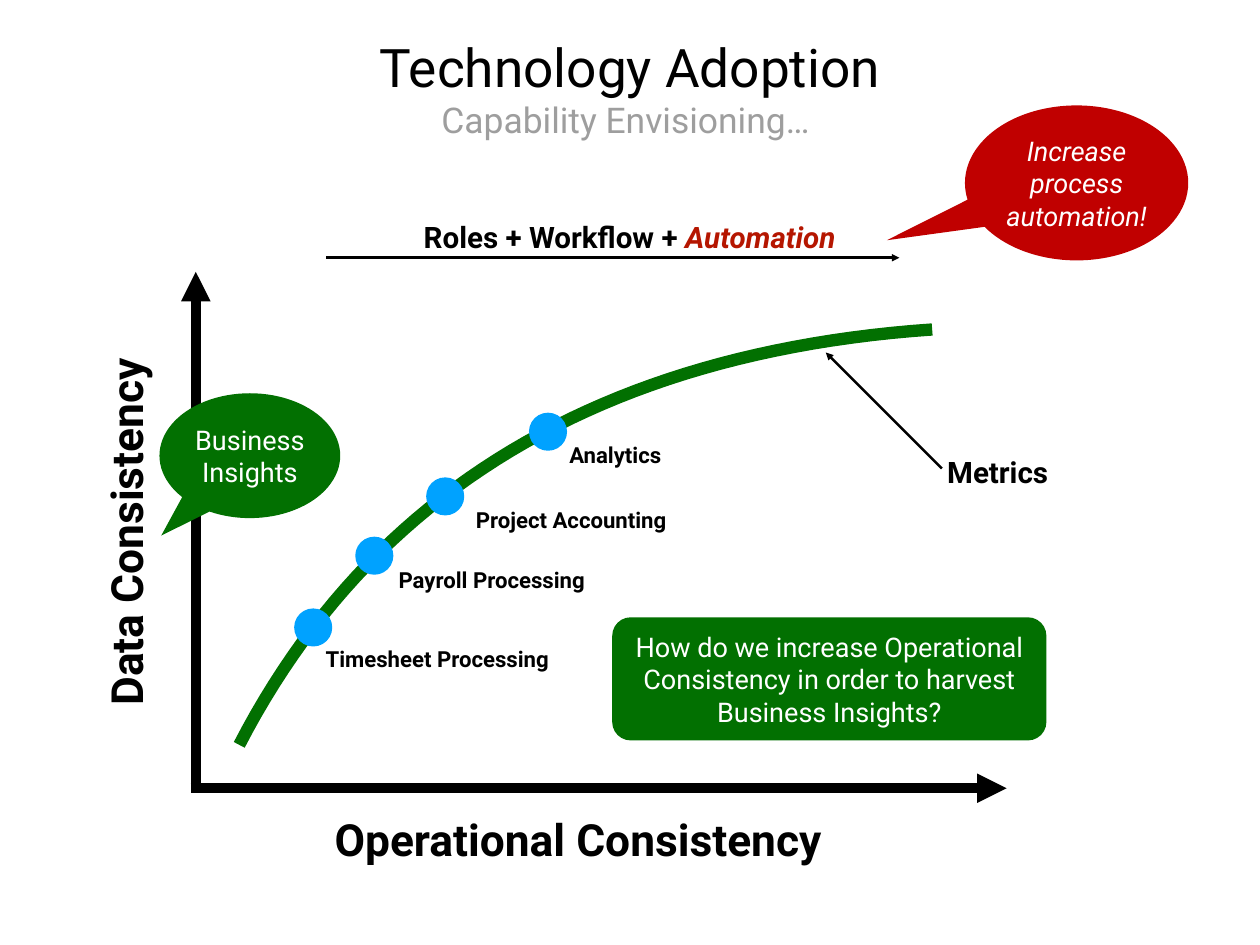
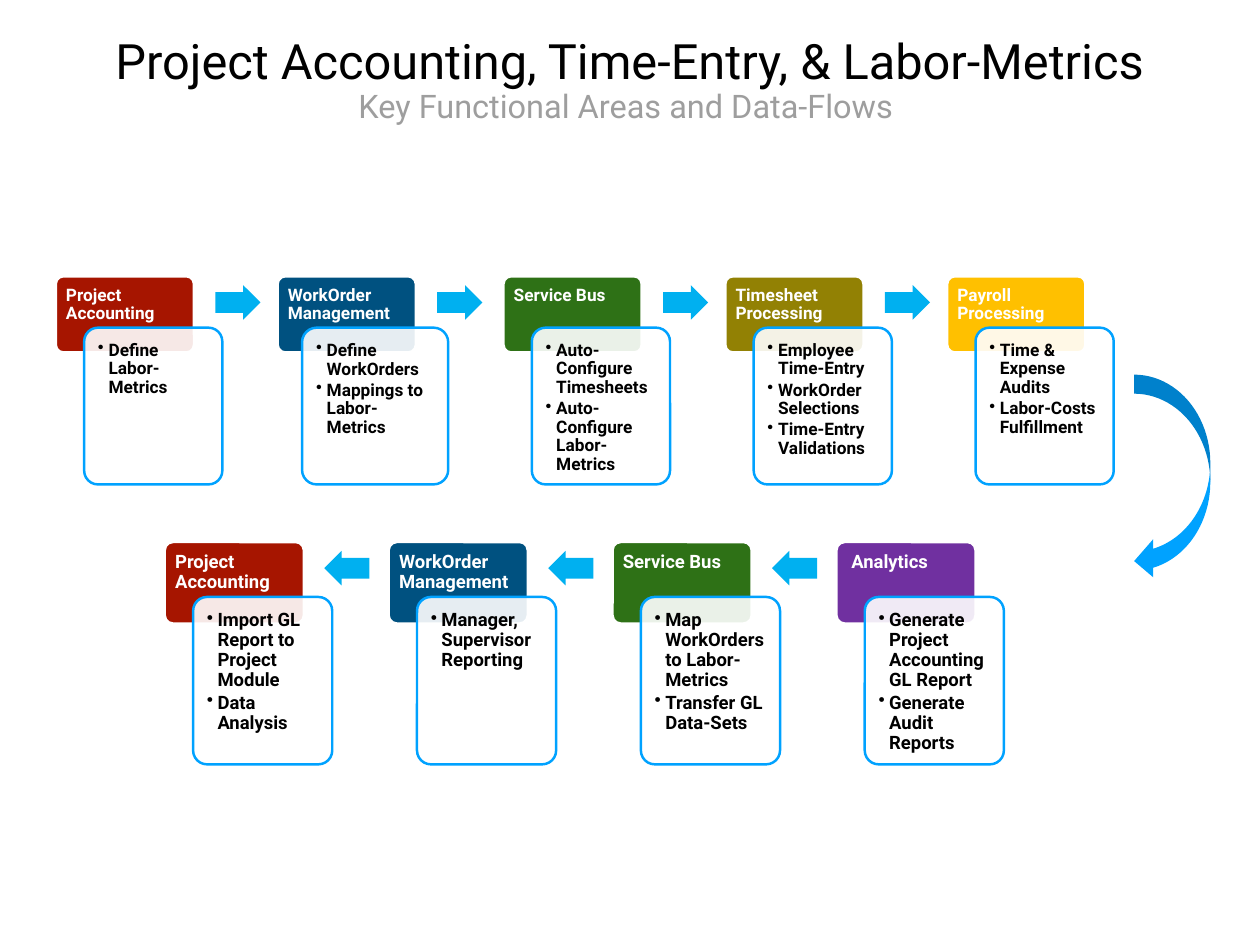
from lxml import etree
from pptx import Presentation
from pptx.dml.color import RGBColor
from pptx.enum.shapes import MSO_CONNECTOR, MSO_SHAPE
from pptx.enum.text import MSO_ANCHOR, PP_ALIGN
from pptx.oxml.ns import qn
from pptx.util import Inches, Pt

STRAIGHT = MSO_CONNECTOR.STRAIGHT
ROUNDED, OVAL = MSO_SHAPE.ROUNDED_RECTANGLE, MSO_SHAPE.OVAL
CALLOUT = MSO_SHAPE.OVAL_CALLOUT
BLOCK_ARROW, RETURN_ARROW = MSO_SHAPE.RIGHT_ARROW, MSO_SHAPE.CURVED_LEFT_ARROW
LEFT, CENTER = PP_ALIGN.LEFT, PP_ALIGN.CENTER
TOP, MIDDLE = MSO_ANCHOR.TOP, MSO_ANCHOR.MIDDLE

FONT = "Roboto"
BLACK = RGBColor(0x00, 0x00, 0x00)
WHITE = RGBColor(0xFF, 0xFF, 0xFF)
GRAY = RGBColor(0x9E, 0x9E, 0x9E)
GREEN = RGBColor(0x02, 0x70, 0x01)
CRIMSON = RGBColor(0xC0, 0x00, 0x00)
BRICK = RGBColor(0xB5, 0x16, 0x00)
BLUE = RGBColor(0x00, 0xA2, 0xFF)
SKY = RGBColor(0x00, 0xB0, 0xF0)

# One colour per functional area
ACCOUNTING = RGBColor(0xA6, 0x15, 0x00)
WORK_ORDERS = RGBColor(0x00, 0x51, 0x80)
SERVICE_BUS = RGBColor(0x2E, 0x71, 0x16)
TIMESHEETS = RGBColor(0x92, 0x81, 0x04)
PAYROLL = RGBColor(0xFF, 0xC0, 0x00)
ANALYTICS = RGBColor(0x70, 0x30, 0xA0)

HEAD_TO_BODY = 0.32   # sideways step from a card's head to its body
EXTRA_WIDTH = 0.09    # added to the body of a wide card


# --- Text ---
def style(run, size, color, bold=False, italic=False):
    font = run.font
    font.name, font.size, font.bold, font.italic = FONT, Pt(size), bold, italic
    font.color.rgb = color


def set_frame(frame, inset=0.06, anchor=MIDDLE, wrap=True):
    frame.word_wrap = wrap
    frame.vertical_anchor = anchor
    frame.margin_left = frame.margin_right = Inches(inset)
    frame.margin_top = frame.margin_bottom = Inches(inset)


def write(frame, text, size, color, align=CENTER, bold=False, italic=False):
    """Fill a frame, one paragraph for each line of text."""
    frame.text = text
    for paragraph in frame.paragraphs:
        paragraph.alignment = align
        for run in paragraph.runs:
            style(run, size, color, bold, italic)


def add_box(slide, left, top, width, height, wrap=True):
    box = slide.shapes.add_textbox(Inches(left), Inches(top),
                                   Inches(width), Inches(height))
    set_frame(box.text_frame, wrap=wrap)
    return box


def add_label(slide, text, at, size):
    label = add_box(slide, *at, wrap=False)
    write(label.text_frame, text, size, BLACK, bold=True)
    return label


def add_title(slide, title, subtitle, height, size, spacing):
    frame = add_box(slide, 1.04, 0.28, 12.14, height).text_frame
    write(frame, f"{title}\n{subtitle}", size, BLACK)
    for paragraph in frame.paragraphs:
        paragraph.line_spacing = spacing
    style(frame.paragraphs[1].runs[0], size * 2 / 3, GRAY)


def add_bullets(paragraph):
    properties = paragraph._p.get_or_add_pPr()
    properties.set("marL", str(Inches(0.12)))
    properties.set("indent", str(-Inches(0.12)))
    etree.SubElement(properties, qn("a:buChar")).set("char", "•")


# --- Shapes and lines ---
def add_figure(slide, kind, at, fill, adjust=(), outline=None):
    figure = slide.shapes.add_shape(kind, *[Inches(length) for length in at])
    figure.shadow.inherit = False
    figure.fill.solid()
    figure.fill.fore_color.rgb = fill
    if outline is None:
        figure.line.fill.background()
    else:
        figure.line.color.rgb = outline
        figure.line.width = Pt(2)
    for index, value in enumerate(adjust):
        figure.adjustments[index] = value
    return figure


def add_message(slide, kind, text, at, fill, adjust, italic=False):
    message = add_figure(slide, kind, at, fill, adjust)
    set_frame(message.text_frame)
    write(message.text_frame, text, 22, WHITE, italic=italic)


def set_opacity(figure, percent):
    color = figure.fill._xPr.find(qn("a:solidFill"))[0]
    etree.SubElement(color, qn("a:alpha")).set("val", str(percent * 1000))


def add_arrow(slide, start, end, width):
    arrow = slide.shapes.add_connector(
        STRAIGHT, *[Inches(length) for length in (*start, *end)])
    arrow.line.color.rgb = BLACK
    arrow.line.width = Pt(width)
    line = arrow.line._get_or_add_ln()
    etree.SubElement(line, qn("a:tailEnd")).set("type", "triangle")
    etree.SubElement(arrow._element.spPr, qn("a:effectLst"))


def add_curve(slide, controls, color, width, steps=48):
    """Draw a cubic Bézier curve through short segments."""
    def point(t):
        weights = ((1 - t) ** 3, 3 * t * (1 - t) ** 2,
                   3 * t ** 2 * (1 - t), t ** 3)
        return tuple(Inches(sum(w * c[axis] for w, c in zip(weights, controls)))
                     for axis in (0, 1))

    points = [point(step / steps) for step in range(steps + 1)]
    builder = slide.shapes.build_freeform(*points[0])
    builder.add_line_segments(points[1:], close=False)
    curve = builder.convert_to_shape()
    curve.shadow.inherit = False
    curve.fill.background()
    curve.line.color.rgb = color
    curve.line.width = Pt(width)


# --- Process cards ---
def add_card(slide, left, top, area, color, tasks, size, scale, wide):
    width, head_height, body_drop, body_height = scale
    head = add_figure(slide, ROUNDED, (left, top, width, head_height),
                      color, (0.1,), WHITE)
    set_frame(head.text_frame, 0.09, TOP)
    write(head.text_frame, area, size, WHITE, LEFT, bold=True)

    extra = EXTRA_WIDTH if wide else 0
    body_at = (left + HEAD_TO_BODY - extra / 2, top + body_drop,
               width + extra, body_height)
    body = add_figure(slide, ROUNDED, body_at, WHITE, (0.1,), BLUE)
    set_opacity(body, 90)
    set_frame(body.text_frame, 0.11, TOP)
    write(body.text_frame, "\n".join(tasks), size, BLACK, LEFT, bold=True)
    for paragraph in body.text_frame.paragraphs:
        paragraph.space_after = Pt(size * 0.15)
        add_bullets(paragraph)
    for paragraph in (*head.text_frame.paragraphs, *body.text_frame.paragraphs):
        paragraph.line_spacing = 0.9


def add_card_row(slide, cards, first, last, top, size, scale,
                 wide_card=None, backward=False):
    """Space the cards evenly; those after a wide card move over by half its extra."""
    shift = 0 if wide_card is None else EXTRA_WIDTH / 2
    pitch = (last - first - shift) / (len(cards) - 1)
    for index, (area, color, tasks) in enumerate(cards):
        left = first + index * pitch
        if wide_card is not None and index > wide_card:
            left += shift
        add_card(slide, left, top, area, color, tasks, size, scale,
                 index == wide_card)
        if index < len(cards) - 1:
            flow = add_figure(slide, BLOCK_ARROW,
                              (left + 1.8, top + 0.1, 0.51, 0.39),
                              SKY, (0.6, 0.5))
            flow.rotation = 180 if backward else 0


# --- Slides ---
def build_adoption(slide):
    add_title(slide, "Technology Adoption", "Capability Envisioning… ",
              1.42, 43.2, 1.0)

    # Axes
    add_arrow(slide, (2.15, 8.9), (11.36, 8.9), 8)
    add_arrow(slide, (2.21, 8.94), (2.21, 3.07), 8)
    add_label(slide, "Operational Consistency", (3.53, 9.12, 5.99, 0.71), 36)
    vertical_axis = add_label(slide, "Data Consistency",
                              (-0.75, 5.65, 4.33, 0.71), 36)
    vertical_axis.rotation = 270

    # Metrics pointer and the heading above the curve
    add_arrow(slide, (10.63, 5.29), (9.32, 3.98), 2)
    add_label(slide, "Metrics", (10.6, 5.08, 1.32, 0.5), 24)
    add_arrow(slide, (3.68, 2.91), (10.15, 2.91), 2)
    heading = add_label(slide, "Roles + Workflow + ", (4.53, 2.42, 5.15, 0.5), 24)
    automation = heading.text_frame.paragraphs[0].add_run()
    automation.text = "Automation"
    style(automation, 24, BRICK, bold=True, italic=True)

    # Adoption curve with its milestones
    add_curve(slide, ((2.7, 8.41), (4.18, 5.55), (6.79, 3.98), (10.52, 3.72)),
              GREEN, 10)
    milestones = (
        ("Timesheet Processing", (3.32, 6.87), (3.54, 7.23, 2.79, 0.42)),
        ("Payroll Processing", (4.01, 6.06), (4.36, 6.34, 2.38, 0.42)),
        ("Project Accounting", (4.81, 5.39), (5.19, 5.66, 2.51, 0.42)),
        ("Analytics", (5.97, 4.66), (6.33, 4.92, 1.23, 0.42)),
    )
    for milestone, dot, label_at in milestones:
        add_figure(slide, OVAL, (*dot, 0.43, 0.43), BLUE)
        add_label(slide, milestone, label_at, 18)

    # Messages
    add_message(slide, CALLOUT, "Business Insights", (1.8, 4.44, 2.04, 1.41),
                GREEN, (-0.49, 0.64))
    add_message(slide, ROUNDED,
                "How do we increase Operational Consistency in order to "
                "harvest Business Insights?",
                (6.91, 6.97, 4.9, 1.39), GREEN, (0.15,))
    add_message(slide, CALLOUT, "Increase process automation!",
                (10.89, 1.19, 2.52, 1.75), CRIMSON, (-0.85, 0.37), italic=True)


def build_data_flows(slide):
    add_title(slide, "Project Accounting, Time-Entry, & Labor-Metrics",
              "Key Functional Areas and Data-Flows ", 1.28, 39.6, 0.9)

    # Outbound flow, left to right
    outbound = (
        ("Project Accounting", ACCOUNTING, ("Define Labor-Metrics",)),
        ("WorkOrder Management", WORK_ORDERS,
         ("Define WorkOrders", "Mappings to Labor-Metrics")),
        ("Service Bus", SERVICE_BUS,
         ("Auto-Configure Timesheets", "Auto-Configure Labor-Metrics")),
        ("Timesheet Processing", TIMESHEETS,
         ("Employee Time-Entry", "WorkOrder Selections",
          "Time-Entry Validations")),
        ("Payroll Processing", PAYROLL,
         ("Time & Expense Audits", "Labor-Costs Fulfillment")),
    )
    add_card_row(slide, outbound, 0.63, 10.69, 3.12, 14,
                 (1.56, 0.86, 0.58, 1.77), wide_card=1)

    # Return flow, right to left
    inbound = (
        ("Project Accounting", ACCOUNTING,
         ("Import GL Report to Project Module", "Data Analysis")),
        ("WorkOrder Management", WORK_ORDERS,
         ("Manager, Supervisor Reporting",)),
        ("Service Bus", SERVICE_BUS,
         ("Map WorkOrders to Labor-Metrics", "Transfer GL Data-Sets")),
        (" Analytics", ANALYTICS,
         ("Generate Project Accounting GL Report", "Generate Audit Reports")),
    )
    add_card_row(slide, inbound, 1.86, 9.44, 6.12, 15,
                 (1.57, 0.92, 0.62, 1.89), backward=True)

    # Turn from the outbound row to the return row
    add_figure(slide, RETURN_ARROW, (12.8, 4.23, 0.86, 2.32), BLUE)


def main():
    deck = Presentation()
    deck.slide_width, deck.slide_height = Inches(14.22), Inches(10.67)
    blank = deck.slide_layouts[6]
    for build in (build_adoption, build_data_flows):
        build(deck.slides.add_slide(blank))
    deck.save("out.pptx")


if __name__ == "__main__":
    main()
